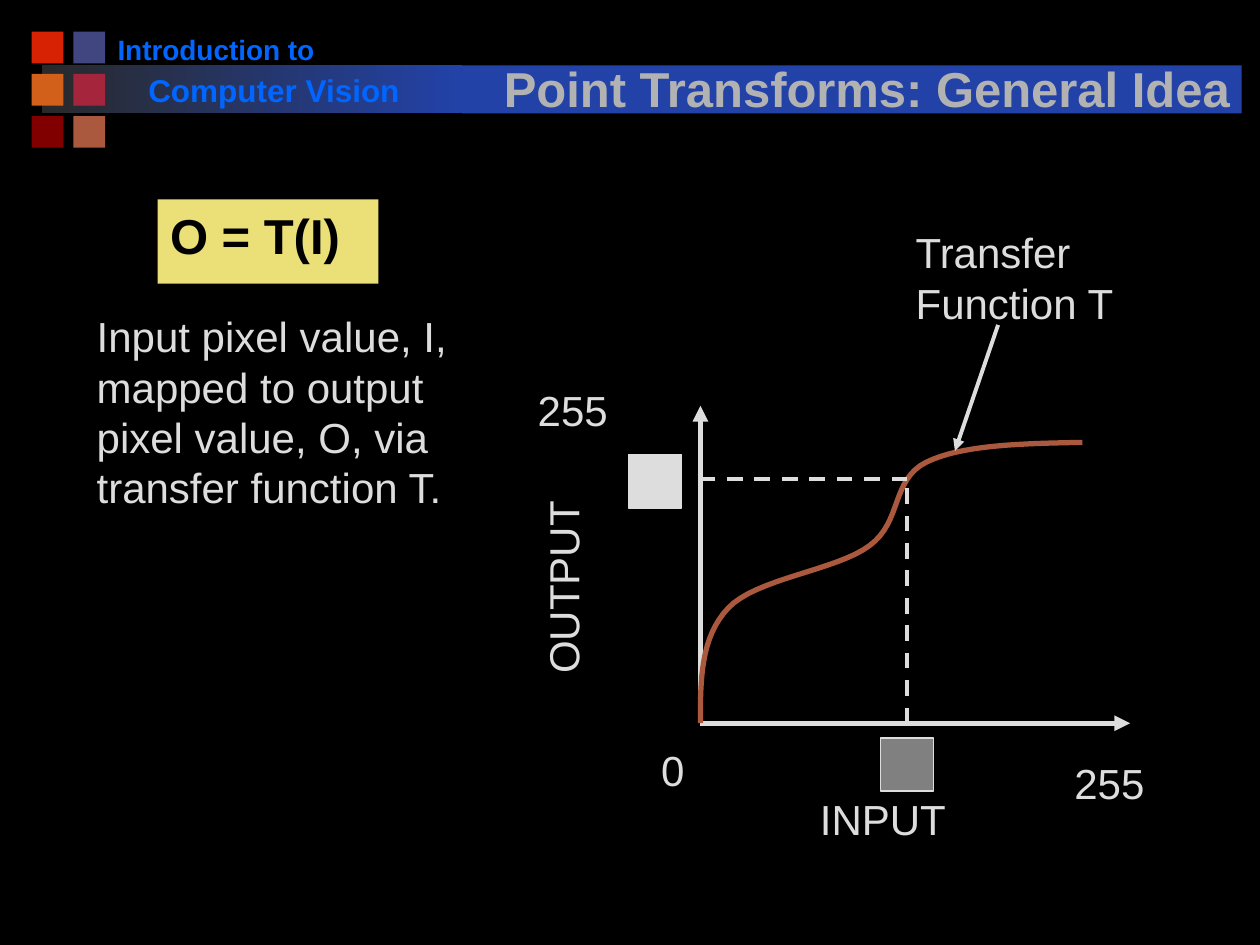
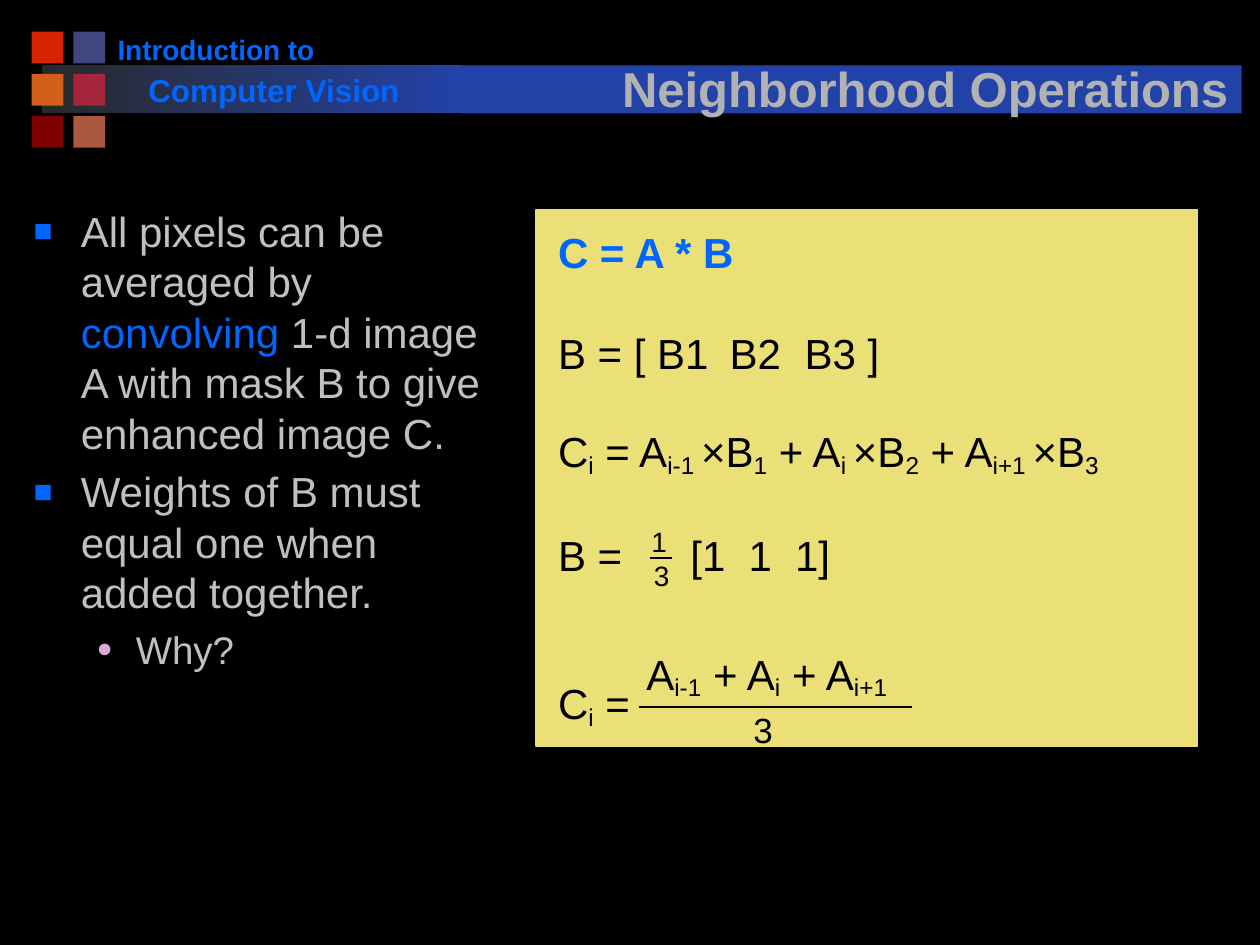
from lxml import etree
from pptx import Presentation
from pptx import util as u
from pptx.dml.color import RGBColor
from pptx.enum import dml, shapes, text
from pptx.oxml import ns


class Theme:
    font = "Arial"
    back, black = "000000", "000000"
    band_dark, band = "292929", "2242A8"
    accent, title, body, label = "0066FF", "B2B2B2", "C0C0C0", "DDDDDD"
    panel, curve, gray, pink = "EBE077", "AA583E", "808080", "DBA9D7"
    squares = [["D82204", "424680"], ["D2601A", "A5253D"], ["800000", "AA583E"]]
    big, normal, sub, small, brand, fraction = 28, 24, 22, 20, 18, 16
    leading = 1.2


def add_text(s, box, lines, size, color, bold=False, wrap=False, odd_color=None):
    sp = s.shapes.add_textbox(*[u.Cm(v) for v in box])
    tf = sp.text_frame
    tf.word_wrap = wrap
    tf.text = "\n".join(lines)
    for p, line in zip(tf.paragraphs, lines):
        p.line_spacing = u.Pt(size * Theme.leading)
        p.text = ""
        for i, piece in enumerate(line.split("|")):
            r = p.add_run()
            r.text = piece
            r.font.name, r.font.size, r.font.bold = Theme.font, u.Pt(size), bold
            r.font.color.rgb = RGBColor.from_string(color)
            if i % 2 and odd_color:
                r.font.color.rgb = RGBColor.from_string(odd_color)
            elif i % 2:
                r.font._element.set("baseline", "-15000")
    return sp


def add_line(s, start, end, color, width, dash=False, arrow=False):
    sp = s.shapes.add_connector(shapes.MSO_CONNECTOR.STRAIGHT, *[u.Cm(v) for v in (*start, *end)])
    sp.line.color.rgb = RGBColor.from_string(color)
    sp.line.width = u.Pt(width)
    if dash:
        sp.line.dash_style = dml.MSO_LINE.DASH
    if arrow:
        etree.SubElement(sp.line._get_or_add_ln(), ns.qn("a:tailEnd"), type="triangle")
    etree.SubElement(sp._element.spPr, ns.qn("a:effectLst"))


prs = Presentation()
prs.slide_width, prs.slide_height = u.Cm(25.4), u.Cm(19.05)

titles = [
    ("Point Transforms: General Idea", 9.32, 16.31),
    ("Neighborhood Operations", 12.07, 13.16),
]
for title, left, width in titles:
    s = prs.slides.add_slide(prs.slide_layouts[6])
    s.background.fill.solid()
    s.background.fill.fore_color.rgb = RGBColor.from_string(Theme.back)

    blocks = [(0.84, 1.32, 8.47, 0.97, Theme.band), (9.31, 1.32, 15.72, 0.97, Theme.band)]
    for row, colors in enumerate(Theme.squares):
        for col, color in enumerate(colors):
            blocks.append((0.64 + 0.84 * col, 0.64 + 0.85 * row, 0.64, 0.64, color))
    for i, (*box, color) in enumerate(blocks):
        sp = s.shapes.add_shape(shapes.MSO_SHAPE.RECTANGLE, *[u.Cm(v) for v in box])
        sp.shadow.inherit = False
        sp.line.fill.background()
        if i == 0:
            sp.fill.gradient()
            sp.fill.gradient_angle = 0
            for stop, shade in zip(sp.fill.gradient_stops, (Theme.band_dark, color)):
                stop.color.rgb = RGBColor.from_string(shade)
        else:
            sp.fill.solid()
            sp.fill.fore_color.rgb = RGBColor.from_string(color)

    add_text(s, (2.12, 0.53, 4.5, 0.94), ["Introduction to"], Theme.fraction, Theme.accent, bold=True)
    add_text(s, (2.74, 1.3, 6.43, 1.02), ["Computer Vision"], Theme.brand, Theme.accent, bold=True, wrap=True)

    sp = add_text(s, (left, 0.79, width, 1.7), [title], Theme.big, Theme.title, bold=True, wrap=True)
    sp.text_frame.vertical_anchor = text.MSO_ANCHOR.BOTTOM
    p = sp.text_frame.paragraphs[0]
    p.alignment = text.PP_ALIGN.CENTER
    effects = etree.Element(ns.qn("a:effectLst"))
    shadow = etree.SubElement(effects, ns.qn("a:outerShdw"), dist="38100", dir="2700000")
    etree.SubElement(shadow, ns.qn("a:srgbClr"), val=Theme.black)
    p.runs[0].font._element.find(ns.qn("a:solidFill")).addnext(effects)

s = prs.slides[0]
sp = add_text(s, (3.18, 4.02, 4.45, 1.7), ["O = T(I)"], Theme.big, Theme.black, bold=True, wrap=True)
sp.fill.solid()
sp.fill.fore_color.rgb = RGBColor.from_string(Theme.panel)
mapping = "Input pixel value, I, mapped to output pixel value, O, via transfer function T."
add_text(s, (1.7, 6.14, 8.47, 4.32), [mapping], Theme.normal, Theme.label, wrap=True)

origin = (14.12, 14.58)
mapped = (18.29, 9.65)
add_line(s, origin, (origin[0], 8.18), Theme.label, 3, arrow=True)
add_line(s, origin, (22.78, origin[1]), Theme.label, 3, arrow=True)

segments = [
    [(14.12, 13.72), (14.12, 12.85), (14.68, 12.26)],
    [(15.24, 11.66), (16.87, 11.5), (17.53, 11)],
    [(18.19, 10.52), (17.96, 9.68), (18.67, 9.32)],
    [(19.38, 8.97), (20.6, 8.94), (21.82, 8.92)],
]
points, start, steps = [], origin, 16
for c1, c2, end in segments:
    for i in range(1, steps + 1):
        t = i / steps
        weights = ((1 - t) ** 3, 3 * t * (1 - t) ** 2, 3 * t * t * (1 - t), t ** 3)
        points.append(tuple(
            u.Cm(sum(w * v for w, v in zip(weights, values)))
            for values in zip(start, c1, c2, end)
        ))
    start = end
builder = s.shapes.build_freeform(u.Cm(origin[0]), u.Cm(origin[1]))
builder.add_line_segments(points, close=False)
sp = builder.convert_to_shape()
sp.shadow.inherit = False
sp.fill.background()
sp.line.color.rgb = RGBColor.from_string(Theme.curve)
sp.line.width = u.Pt(3)

labels = [
    (["0"], 13.08, 14.88, 0.99, 1.27, 0),
    (["255"], 21.41, 15.14, 1.93, 1.27, 0),
    (["255"], 10.59, 7.62, 1.93, 1.27, 0),
    (["INPUT"], 16.28, 15.88, 3.05, 1.27, 0),
    (["OUTPUT"], 9.35, 11.2, 3.99, 1.27, 270),
    (["Transfer", "Function T"], 18.21, 4.45, 4.52, 2.29, 0),
]
for lines, *box, angle in labels:
    add_text(s, box, lines, Theme.normal, Theme.label).rotation = angle

add_line(s, (mapped[0], origin[1]), mapped, Theme.label, 2.25, dash=True)
add_line(s, mapped, (origin[0], mapped[1]), Theme.label, 2.25, dash=True)
for left, top, color in [(17.75, 14.88, Theme.gray), (12.67, 9.17, Theme.label)]:
    sp = s.shapes.add_shape(shapes.MSO_SHAPE.RECTANGLE, u.Cm(left), u.Cm(top), u.Cm(1.07), u.Cm(1.07))
    sp.shadow.inherit = False
    sp.fill.solid()
    sp.fill.fore_color.rgb = RGBColor.from_string(color)
    sp.line.color.rgb = RGBColor.from_string(Theme.label)
    sp.line.width = u.Pt(0.75)
add_line(s, (20.12, 6.55), (19.25, 9.09), Theme.label, 2.25, arrow=True)

s = prs.slides[1]
points = [
    "All pixels can be averaged by |convolving| 1-d image A with mask B to give enhanced image C.",
    "Weights of B must equal one when added together.",
    "Why?",
]
sp = add_text(s, (0.43, 4.02, 9.96, 11.63), points, Theme.normal, Theme.body, wrap=True, odd_color=Theme.accent)
square = ("■", Theme.accent, 75, 0.95, 0.95)
dot = ("●", Theme.pink, 70, 2.06, 0.79)
for i, (p, bullet) in enumerate(zip(sp.text_frame.paragraphs, (square, square, dot))):
    char, color, percent, margin, hanging = bullet
    pPr = p._p.get_or_add_pPr()
    pPr.set("marL", str(u.Cm(margin)))
    pPr.set("indent", str(-u.Cm(hanging)))
    etree.SubElement(etree.SubElement(pPr, ns.qn("a:buClr")), ns.qn("a:srgbClr"), val=color)
    etree.SubElement(pPr, ns.qn("a:buSzPct"), val=str(percent * 1000))
    etree.SubElement(pPr, ns.qn("a:buFont"), typeface=Theme.font)
    etree.SubElement(pPr, ns.qn("a:buChar"), char=char)
    if i:
        p.space_before = u.Pt(4.8)
p.level = 1
p.line_spacing = u.Pt(Theme.sub * Theme.leading)
p.runs[0].font.size = u.Pt(Theme.sub)

sp = s.shapes.add_shape(shapes.MSO_SHAPE.RECTANGLE, u.Cm(10.8), u.Cm(4.24), u.Cm(13.34), u.Cm(10.8))
sp.shadow.inherit = False
sp.fill.solid()
sp.fill.fore_color.rgb = RGBColor.from_string(Theme.panel)
sp.line.color.rgb = RGBColor.from_string(Theme.panel)
sp.line.width = u.Pt(1)

formulas = [
    ("C = A * B", 0, []),
    ("B = [ B1\tB2\tB3 ]", 1, [3.46, 4.97]),
    ("C|i| = A|i-1 |×B|1| + A|i |×B|2| + A|i+1 |×B|3", 1, []),
    ("B =\t[1\t1\t1]", 1, [2.67, 3.84, 4.78]),
    ("C|i| =", 2, []),
]
sp = add_text(s, (11, 4.45, 13.31, 10.39), [f[0] for f in formulas], Theme.normal, Theme.black, wrap=True)
for p, (_, gap, tabs) in zip(sp.text_frame.paragraphs, formulas):
    if gap:
        p.space_before = u.Pt(gap * Theme.normal * Theme.leading)
    if tabs:
        tab_list = etree.SubElement(p._p.get_or_add_pPr(), ns.qn("a:tabLst"))
        for tab in tabs:
            etree.SubElement(tab_list, ns.qn("a:tab"), pos=str(u.Cm(tab)), algn="l")
r = sp.text_frame.paragraphs[0].runs[0]
r.font.bold = True
r.font.color.rgb = RGBColor.from_string(Theme.accent)

fractions = [
    ("1", 12.88, 10.44, 0.81, 0.94, Theme.fraction),
    ("3", 12.93, 11.13, 0.81, 0.94, Theme.fraction),
    ("A|i-1| + A|i| + A|i+1", 12.78, 13, 5.64, 1.27, Theme.normal),
    ("3", 14.94, 14.15, 0.91, 1.09, Theme.small),
]
for term, *box, size in fractions:
    add_text(s, box, [term], size, Theme.black)
for left, right, top in [(13.11, 13.54, 11.25), (12.88, 18.39, 14.25)]:
    add_line(s, (left, top), (right, top), Theme.black, 1)

prs.save("out.pptx")
